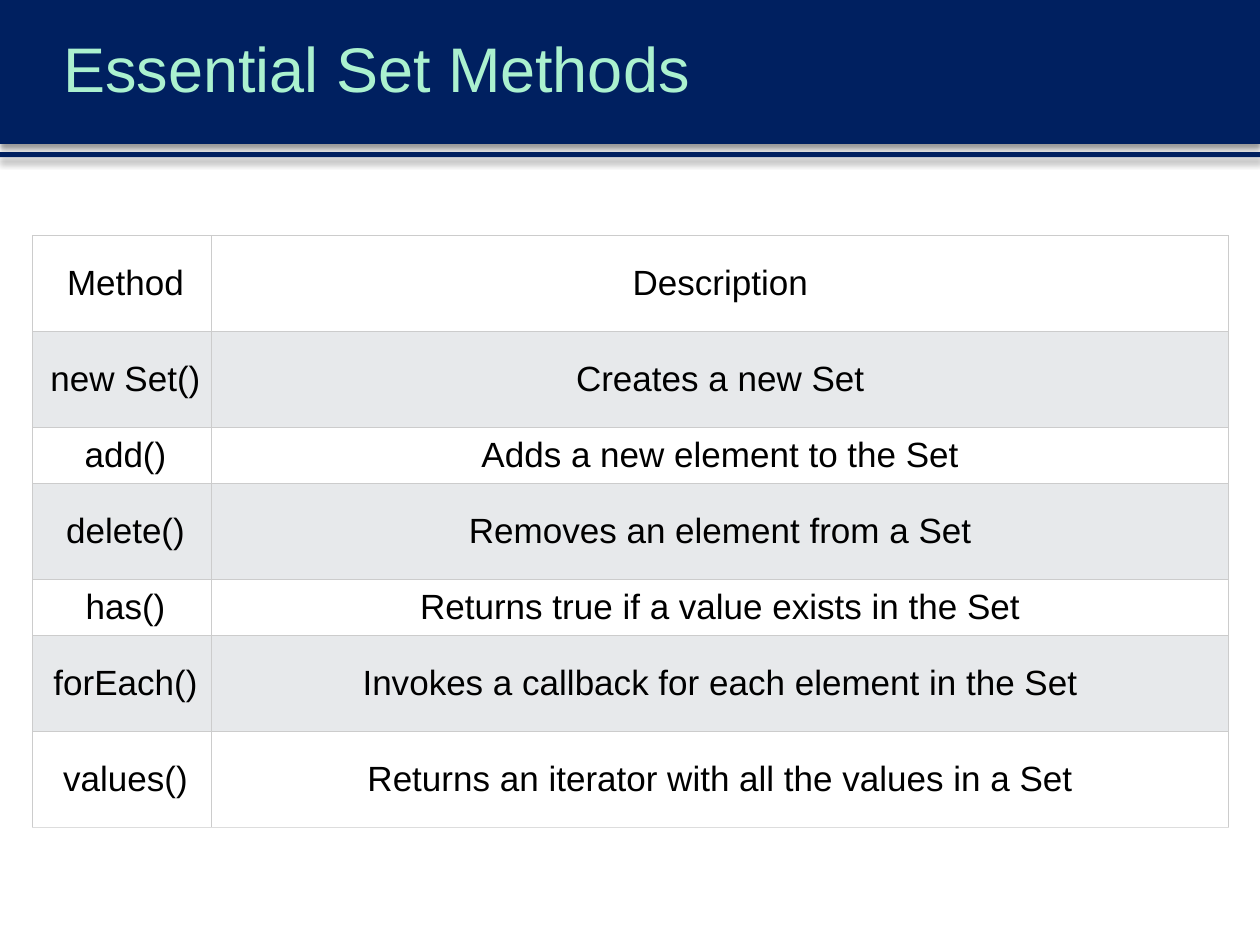
import dataclasses

import pptx
import pptx.dml.color
import pptx.enum.shapes
import pptx.enum.text
import pptx.oxml
import pptx.oxml.ns
import pptx.util

Cm = pptx.util.Cm
Pt = pptx.util.Pt
PP_ALIGN = pptx.enum.text.PP_ALIGN
MIDDLE = pptx.enum.text.MSO_ANCHOR.MIDDLE

FONT = "Arial"
NAVY, MINT, BLACK = "002060", "ABF1CF", "000000"
WHITE, BAND = "FFFFFF", "E7E9EB"
BORDER, LAST_BORDER = "CCCCCC", "DDDDDD"
SLIDE_W, SLIDE_H = 25.4, 19.05
HEADER_H = 2.9
TALL, SHORT = 1.93, 1.14
COL_WIDTHS = (3.61, 20.5)
LEFT_INSETS = (0.28, 0.15)


@dataclasses.dataclass
class Bar:
    top: float
    height: float


@dataclasses.dataclass
class Row:
    method: str
    description: str
    height: float = TALL


BARS = [Bar(0, HEADER_H), Bar(3.07, 0.1)]
ROWS = [
    Row("Method", "Description"),
    Row("new Set()", "Creates a new Set"),
    Row("add()", "Adds a new element to the Set", SHORT),
    Row("delete()", "Removes an element from a Set"),
    Row("has()", "Returns true if a value exists in the Set", SHORT),
    Row("forEach()", "Invokes a callback for each element in the Set"),
    Row("values()", "Returns an iterator with all the values in a Set"),
]


def rgb(color: str):
    return pptx.dml.color.RGBColor.from_string(color)


def add_run(p, text: str, size: float, color: str) -> None:
    r = p.add_run()
    r.text = text
    r.font.name = FONT
    r.font.size = Pt(size)
    r.font.color.rgb = rgb(color)


def add_bar(s, bar: Bar, position: int) -> None:
    """Draw a full-width shadowed bar behind the title."""
    sp = s.shapes.add_shape(pptx.enum.shapes.MSO_SHAPE.RECTANGLE,
                            0, Cm(bar.top), Cm(SLIDE_W), Cm(bar.height))
    sp.fill.solid()
    sp.fill.fore_color.rgb = rgb(NAVY)
    sp.line.fill.background()
    sp.shadow.inherit = False
    effects = sp._element.spPr.find(pptx.oxml.ns.qn("a:effectLst"))
    effects.append(pptx.oxml.parse_xml(
        f'<a:outerShdw {pptx.oxml.ns.nsdecls("a")} blurRad="{Pt(4)}" '
        f'dist="{Pt(3)}" dir="5400000" algn="t" rotWithShape="0">'
        '<a:srgbClr val="000000"><a:alpha val="40000"/></a:srgbClr>'
        '</a:outerShdw>'))
    s.shapes._spTree.insert(position, sp._element)


def set_borders(cell, bottom: str) -> None:
    tc_pr = cell._tc.get_or_add_tcPr()
    for side in "LRTB":
        color = bottom if side == "B" else BORDER
        tc_pr.append(pptx.oxml.parse_xml(
            f'<a:ln{side} {pptx.oxml.ns.nsdecls("a")} w="{Pt(0.75)}">'
            f'<a:solidFill><a:srgbClr val="{color}"/></a:solidFill>'
            f'</a:ln{side}>'))


def fill_cell(cell, text: str, left: float, fill: str, bottom: str) -> None:
    set_borders(cell, bottom)
    cell.fill.solid()
    cell.fill.fore_color.rgb = rgb(fill)
    cell.vertical_anchor = MIDDLE
    cell.margin_left = Cm(left)
    cell.margin_right = cell.margin_top = cell.margin_bottom = Cm(0.15)
    p = cell.text_frame.paragraphs[0]
    p.alignment = PP_ALIGN.CENTER
    add_run(p, text, 20, BLACK)


def add_methods_table(s, rows: list[Row]) -> None:
    table = s.shapes.add_table(
        len(rows), len(COL_WIDTHS), Cm(0.66), Cm(4.75),
        Cm(sum(COL_WIDTHS)), Cm(sum(row.height for row in rows))).table
    table.first_row = table.horz_banding = False
    for col, width in zip(table.columns, COL_WIDTHS):
        col.width = Cm(width)
    for i, row in enumerate(rows):
        table.rows[i].height = Cm(row.height)
        fill = BAND if i % 2 else WHITE
        bottom = LAST_BORDER if i == len(rows) - 1 else BORDER
        for j, text in enumerate((row.method, row.description)):
            fill_cell(table.cell(i, j), text, LEFT_INSETS[j], fill, bottom)


def set_title(s, text: str) -> None:
    sp = s.shapes.title
    sp.left, sp.top = Cm(1.02), Cm(0)
    sp.width, sp.height = Cm(24.38), Cm(HEADER_H)
    tf = sp.text_frame
    tf.word_wrap = True
    tf.auto_size = pptx.enum.text.MSO_AUTO_SIZE.NONE
    tf.vertical_anchor = MIDDLE
    p = tf.paragraphs[0]
    p.alignment = PP_ALIGN.LEFT
    p.line_spacing = 0.9
    add_run(p, text, 36, MINT)


def main() -> None:
    prs = pptx.Presentation()
    prs.slide_width, prs.slide_height = Cm(SLIDE_W), Cm(SLIDE_H)
    s = prs.slides.add_slide(prs.slide_layouts[5])

    # Header; the first two tree entries are group properties
    for position, bar in enumerate(BARS, start=2):
        add_bar(s, bar, position)
    set_title(s, "Essential Set Methods")

    # Methods and what they do
    add_methods_table(s, ROWS)

    prs.save("out.pptx")


if __name__ == "__main__":
    main()
